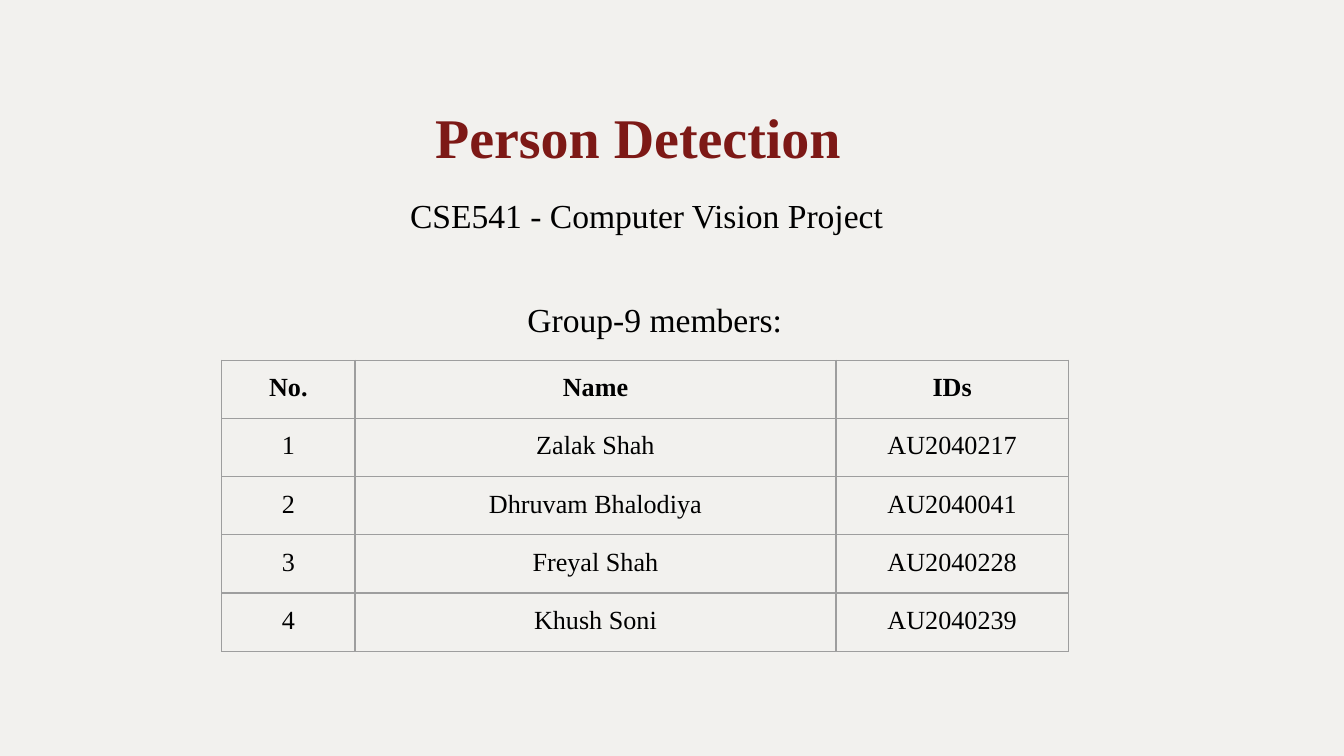
from dataclasses import dataclass
from typing import NamedTuple

from lxml.etree import SubElement
from pptx import Presentation
from pptx.dml.color import RGBColor
from pptx.enum.text import MSO_ANCHOR as Anchor, PP_ALIGN as Align
from pptx.oxml.ns import qn
from pptx.util import Cm, Length, Pt


@dataclass(frozen=True)
class Theme:
    font: str = "Times New Roman"
    background: str = "F2F1EE"
    heading: str = "7D1916"
    ink: str = "000000"
    border: str = "9E9E9E"
    title_size: int = 30
    body_size: int = 18
    table_size: int = 14
    border_width: float = 0.75


class Box(NamedTuple):
    left: Length
    top: Length
    width: Length
    height: Length


@dataclass(frozen=True)
class Line:
    text: str
    size: int
    color: str
    bold: bool = False
    align: Align = Align.LEFT
    spacing: float = 0.9
    before: float = 0
    margin: float = 0
    indent: float = 0


THEME = Theme()
INSET = Cm(0.25)
TITLE_BOX = Box(Cm(1.24), Cm(0.56), Cm(21.9), Cm(2.77))
BODY_BOX = Box(Cm(1.22), Cm(3.68), Cm(21.9), Cm(9.07))
TITLE = Line("Person Detection", THEME.title_size, THEME.heading, True, Align.CENTER)
BODY = [
    Line("CSE541 - Computer Vision Project", THEME.body_size, THEME.ink,
         before=8, margin=5.08, indent=1.27),
    Line("Group-9 members:", THEME.body_size, THEME.ink, before=36, margin=8.57),
]
TABLE_LEFT, TABLE_TOP = Cm(4.19), Cm(6.81)
COLUMNS = [Cm(2.52), Cm(9.09), Cm(4.39)]
ROW_HEIGHT = Cm(1.1)
HEADER = ("No.", "Name", "IDs")
MEMBERS = [
    ("Zalak Shah", "AU2040217"),
    ("Dhruvam Bhalodiya", "AU2040041"),
    ("Freyal Shah", "AU2040228"),
    ("Khush Soni", "AU2040239"),
]


def apply(target: object, formats: dict) -> None:
    for name, value in formats.items():
        setattr(target, name, value)


def write_line(para, line: Line) -> None:
    apply(para, {"alignment": line.align, "line_spacing": line.spacing,
                 "space_before": Pt(line.before)})
    properties = para._p.get_or_add_pPr()
    properties.set("marL", str(Cm(line.margin)))
    properties.set("indent", str(Cm(line.indent)))
    span = para.add_run()
    span.text = line.text
    apply(span.font, {"name": THEME.font, "size": Pt(line.size), "bold": line.bold})
    span.font.color.rgb = RGBColor.from_string(line.color)


def add_text(page, box: Box, lines: list[Line], anchor: Anchor,
             right_inset: Length = Cm(0.18)) -> None:
    frame = page.shapes.add_textbox(*box).text_frame
    apply(frame, {"word_wrap": True, "vertical_anchor": anchor,
                  "margin_left": Cm(0.18), "margin_right": right_inset,
                  "margin_top": Cm(0.1), "margin_bottom": Cm(0.1)})
    for index, line in enumerate(lines):
        para = frame.add_paragraph() if index else frame.paragraphs[0]
        write_line(para, line)


def add_borders(cell) -> None:
    properties = cell._tc.get_or_add_tcPr()
    for side in ("lnL", "lnR", "lnT", "lnB"):
        edge = SubElement(properties, qn(f"a:{side}"), w=str(Pt(THEME.border_width)))
        fill = SubElement(edge, qn("a:solidFill"))
        SubElement(fill, qn("a:srgbClr"), val=THEME.border)


def add_members(page) -> None:
    rows = [HEADER] + [(str(number), *member) for number, member in enumerate(MEMBERS, 1)]
    table = page.shapes.add_table(len(rows), len(COLUMNS), TABLE_LEFT, TABLE_TOP,
                                  sum(COLUMNS), ROW_HEIGHT * len(rows)).table
    apply(table, {"first_row": False, "horz_banding": False})
    for column, width in zip(table.columns, COLUMNS):
        column.width = width
    for row_index, values in enumerate(rows):
        table.rows[row_index].height = ROW_HEIGHT
        for column_index, text in enumerate(values):
            cell = table.cell(row_index, column_index)
            apply(cell, {f"margin_{side}": INSET
                         for side in ("left", "right", "top", "bottom")})
            add_borders(cell)
            cell.fill.background()
            write_line(cell.text_frame.paragraphs[0],
                       Line(text, THEME.table_size, THEME.ink, row_index == 0,
                            Align.CENTER, spacing=1.0))


def main() -> None:
    deck = Presentation()
    apply(deck, {"slide_width": Cm(25.4), "slide_height": Cm(14.29)})
    page = deck.slides.add_slide(deck.slide_layouts[6])
    page.background.fill.solid()
    page.background.fill.fore_color.rgb = RGBColor.from_string(THEME.background)
    add_text(page, TITLE_BOX, [TITLE], Anchor.BOTTOM, right_inset=Cm(0.44))
    add_text(page, BODY_BOX, BODY, Anchor.TOP)
    add_members(page)
    deck.save("out.pptx")


if __name__ == "__main__":
    main()
